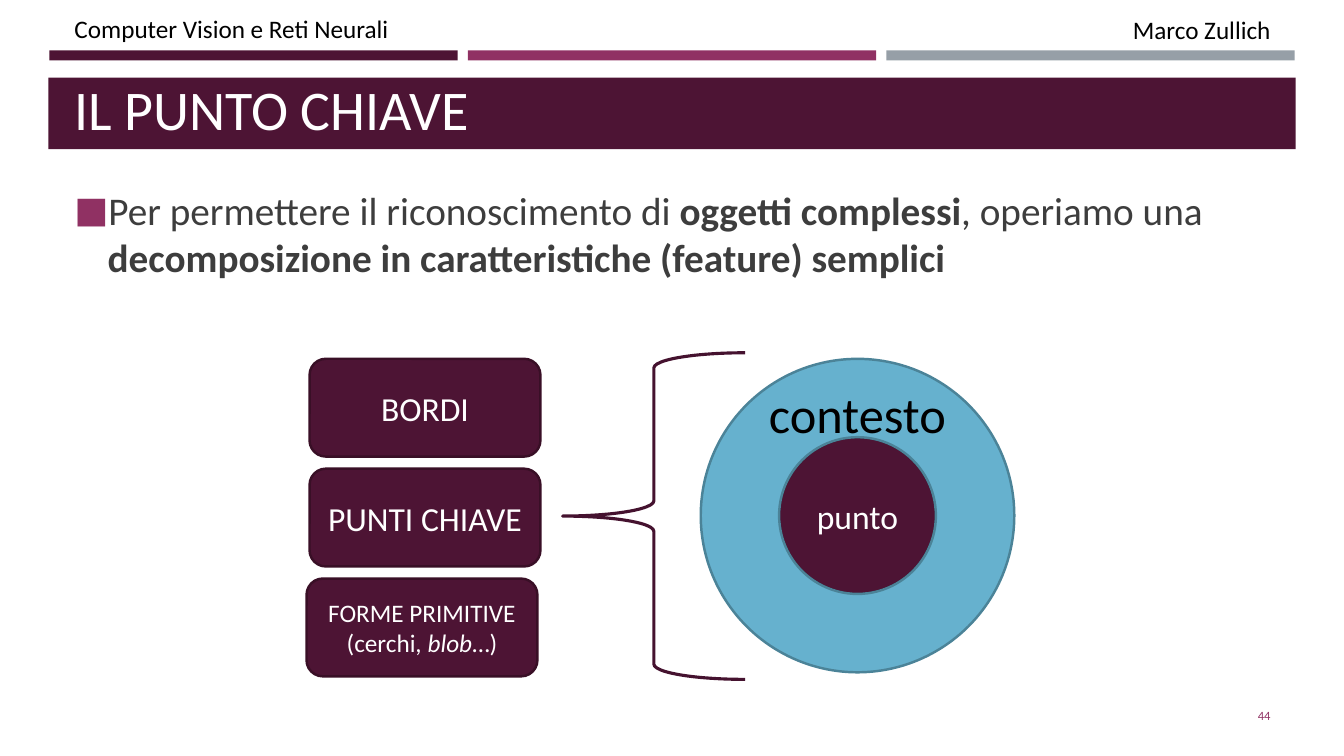
from lxml.etree import SubElement
from pptx import Presentation
from pptx.dml.color import RGBColor
from pptx.enum.shapes import MSO_SHAPE as SHAPE
from pptx.enum.text import MSO_ANCHOR as ANCHOR, PP_ALIGN as ALIGN
from pptx.oxml.ns import qn
from pptx.util import Inches, Pt

COURSE = "Computer Vision e Reti Neurali"
AUTHOR = "Marco Zullich"
TITLE = "IL PUNTO CHIAVE"
PAGE = "44"
# Runs are (text, style), where style is "", "b" or "i"
BODY = [
    ("Per permettere il riconoscimento di ", ""),
    ("oggetti complessi", "b"),
    (", operiamo una ", ""),
    ("decomposizione in caratteristiche (feature) semplici", "b"),
]
# Feature boxes: runs, left edge, type size name
FEATURES = [
    ([("BORDI", "")], 3.07, "label"),
    ([("PUNTI CHIAVE", "")], 3.07, "label"),
    ([("FORME PRIMITIVE (cerchi, ", ""), ("blob", "i"), ("…)", "")], 3.04, "small"),
]
POINT, CONTEXT = "punto", "contesto"

THEME = {
    "font": "Calibri",
    "color": {
        "plum": "4D1434", "plum_edge": "390F26", "brace": "45122F",
        "magenta": "903163", "gray": "969FA7", "blue": "66B1CE",
        "blue_edge": "4B8398", "body": "3D3D3D", "white": "FFFFFF", "black": "000000",
    },
    "size": {"title": 40, "context": 36, "body": 28, "label": 24, "small": 18, "page": 9},
}

MARGIN, TEXT_W = 0.64, 12.06
TEXT_RIGHT = MARGIN + TEXT_W
BAR_LEFT, BAR_W, BAR_STEP = 0.49, 4.05, 4.15
FEATURE_TOP, FEATURE_W, FEATURE_H, FEATURE_STEP = 3.56, 2.29, 0.97, 1.09
CENTER_X, CENTER_Y, RING_D = 8.505, 5.115, 3.11


def color(name):
    return RGBColor.from_string(THEME["color"][name])


def write(s, runs, size="small", ink="black", align=ALIGN.LEFT, anchor=ANCHOR.TOP, wrap=True):
    tf = s.text_frame
    tf.word_wrap = wrap
    tf.vertical_anchor = anchor
    p = tf.paragraphs[0]
    p.alignment = align
    for text, style in [(runs, "")] if isinstance(runs, str) else runs:
        r = p.add_run()
        r.text = text
        r.font.name = THEME["font"]
        r.font.size = Pt(THEME["size"][size])
        r.font.color.rgb = color(ink)
        r.font.bold = style == "b"
        r.font.italic = style == "i"
    return p


def add_text(slide, box, runs, **fmt):
    return write(slide.shapes.add_textbox(*map(Inches, box)), runs, **fmt)


def add_shape(slide, kind, box, fill=None, line=None, width=1.75):
    s = slide.shapes.add_shape(kind, *map(Inches, box))
    s.shadow.inherit = False
    if fill:
        s.fill.solid()
        s.fill.fore_color.rgb = color(fill)
    else:
        s.fill.background()
    if line:
        s.line.color.rgb = color(line)
        s.line.width = Pt(width)
    else:
        s.line.fill.background()
    return s


def add_bullet(p, indent=0.33):
    pPr = p._p.get_or_add_pPr()
    pPr.set("marL", str(Inches(indent)))
    pPr.set("indent", str(-Inches(indent)))
    clr = SubElement(pPr, qn("a:buClr"))
    SubElement(clr, qn("a:srgbClr")).set("val", THEME["color"]["magenta"])
    SubElement(pPr, qn("a:buSzPct")).set("val", "92000")
    SubElement(pPr, qn("a:buFont")).set("typeface", THEME["font"])
    SubElement(pPr, qn("a:buChar")).set("char", "■")


def centered(diameter):
    """Box of a circle around the common centre."""
    return CENTER_X - diameter / 2, CENTER_Y - diameter / 2, diameter, diameter


def add_header(slide):
    for i, fill in enumerate(["plum", "magenta", "gray"]):
        add_shape(slide, SHAPE.RECTANGLE, (BAR_LEFT + i * BAR_STEP, 0.5, BAR_W, 0.1), fill)
    add_shape(slide, SHAPE.RECTANGLE, (0.48, 0.77, 12.37, 0.71), "plum")
    add_text(slide, (TEXT_RIGHT - 4.11, 0.09, 4.11, 0.41), AUTHOR, align=ALIGN.RIGHT)
    add_text(slide, (MARGIN, 0.08, 4.11, 0.41), COURSE)
    add_text(slide, (MARGIN, 0.83, TEXT_W, 0.63), TITLE, size="title", ink="white",
             anchor=ANCHOR.BOTTOM)


def add_diagram(slide):
    label = {"ink": "white", "align": ALIGN.CENTER, "anchor": ANCHOR.MIDDLE}
    point = add_shape(slide, SHAPE.OVAL, centered(RING_D / 2), "plum", "plum_edge")
    write(point, POINT, size="label", **label)
    add_shape(slide, SHAPE.DONUT, centered(RING_D), "blue", "blue_edge")
    add_text(slide, (CENTER_X - 1, 3.75, 2, 0.71), CONTEXT, size="context",
             align=ALIGN.CENTER, wrap=False)
    add_shape(slide, SHAPE.LEFT_BRACE, (5.58, 3.5, 1.81, 3.24), line="brace", width=2.25)
    for i, (runs, left, size) in enumerate(FEATURES):
        box = left, FEATURE_TOP + i * FEATURE_STEP, FEATURE_W, FEATURE_H
        s = add_shape(slide, SHAPE.ROUNDED_RECTANGLE, box, "plum", "plum_edge")
        write(s, runs, size=size, **label)


def main():
    prs = Presentation()
    prs.slide_width, prs.slide_height = Inches(13.33), Inches(7.5)
    slide = prs.slides.add_slide(prs.slide_layouts[6])
    add_header(slide)
    p = add_text(slide, (MARGIN, 1.64, TEXT_W, 1.35), BODY, size="body", ink="body",
                 anchor=ANCHOR.MIDDLE)
    add_bullet(p)
    add_text(slide, (TEXT_RIGHT - 1.15, 6.9, 1.15, 0.4), PAGE, size="page", ink="magenta",
             align=ALIGN.RIGHT, anchor=ANCHOR.MIDDLE)
    add_diagram(slide)
    prs.save("out.pptx")


if __name__ == "__main__":
    main()
